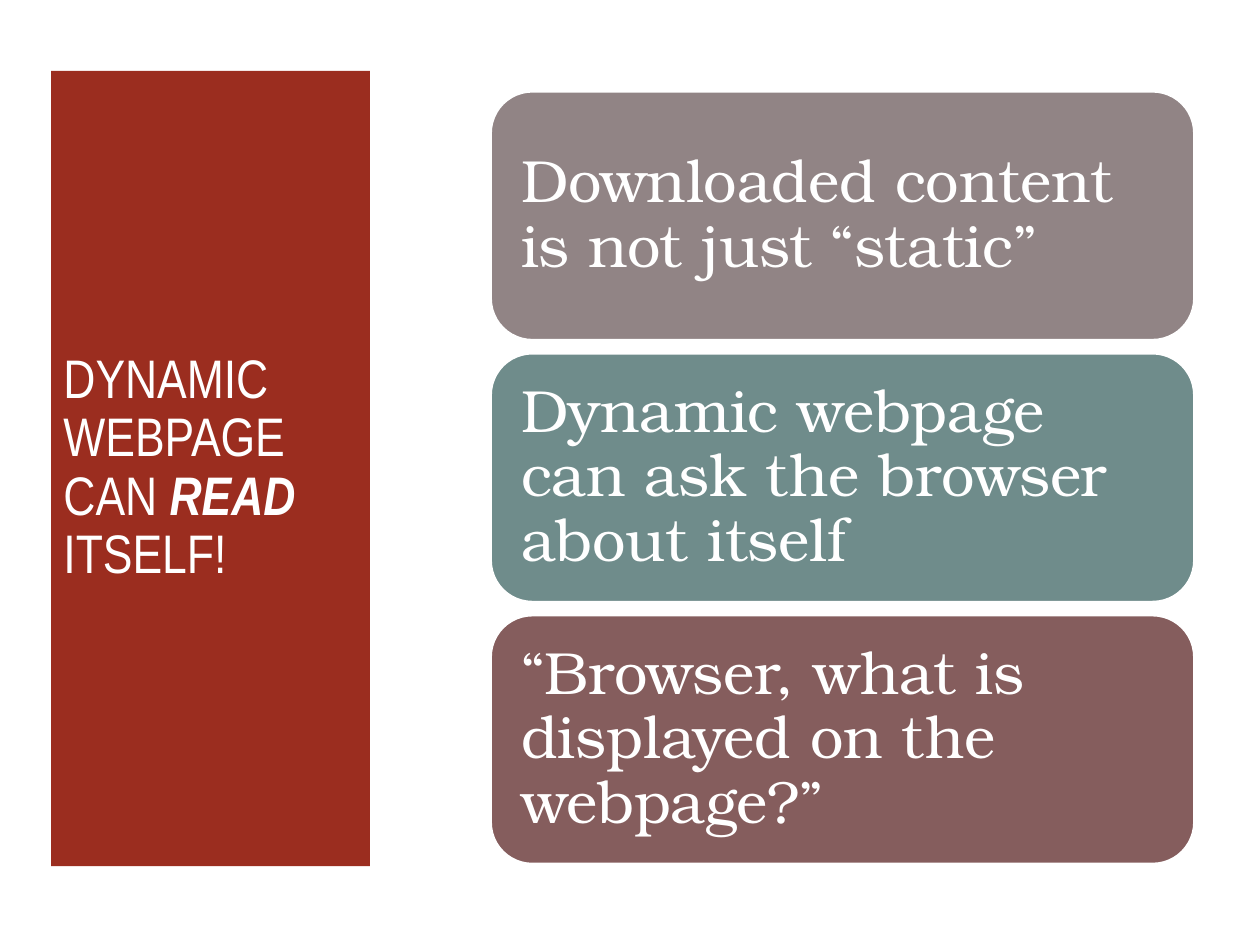
from pptx import Presentation
from pptx.dml.color import RGBColor
from pptx.enum import shapes, text
from pptx.util import Cm, Pt

WHITE = "FFFFFF"
CARD_HEIGHT, CARD_PITCH = 5.0, 5.28
CARDS = [
    ("Downloaded content is not just “static”", "918485"),
    ("Dynamic webpage can ask the browser about itself", "6F8C8B"),
    ("“Browser, what is displayed on the webpage?”", "855D5D"),
]


def color(hex_string):
    return RGBColor.from_string(hex_string)


def add_block(slide, preset, left, top, width, height, fill):
    block = slide.shapes.add_shape(preset, Cm(left), Cm(top), Cm(width), Cm(height))
    block.shadow.inherit = False
    block.fill.solid()
    block.fill.fore_color.rgb = color(fill)
    block.line.fill.background()
    return block


def write(block, runs, font_name, size):
    """Fill a block with one left-aligned paragraph of (words, emphasised) runs."""
    frame = block.text_frame
    frame.word_wrap = True
    frame.vertical_anchor = text.MSO_ANCHOR.MIDDLE
    paragraph = frame.paragraphs[0]
    paragraph.alignment = text.PP_ALIGN.LEFT
    paragraph.line_spacing = 0.9
    paragraph.font.name = font_name
    paragraph.font.size = Pt(size)
    paragraph.font.color.rgb = color(WHITE)
    for words, emphasised in runs:
        run = paragraph.add_run()
        run.text = words
        if emphasised:
            run.font.bold = run.font.italic = True


def add_title_panel(slide):
    panel = add_block(slide, shapes.MSO_SHAPE.RECTANGLE, 1.03, 1.43, 6.43, 16.03, "9B2D1F")
    runs = [("DYNAMIC WEBPAGE CAN ", False), ("READ", True), (" ITSELF!", False)]
    write(panel, runs, "Arial Narrow", 31)


def add_card(slide, top, message, fill):
    card = add_block(slide, shapes.MSO_SHAPE.ROUNDED_RECTANGLE,
                     9.9, top, 14.17, CARD_HEIGHT, fill)
    card.line.color.rgb = color(WHITE)
    card.line.width = Pt(1)
    frame = card.text_frame
    frame.margin_left = frame.margin_right = Cm(0.36)
    frame.margin_top = frame.margin_bottom = Cm(0.36)
    write(card, [(message, False)], "TeX Gyre Bonum", 34)


def main():
    deck = Presentation()
    deck.slide_width, deck.slide_height = Cm(25.4), Cm(19.05)
    slide = deck.slides.add_slide(deck.slide_layouts[6])

    # Title on the left
    add_title_panel(slide)

    # Stack of message cards on the right
    for row, (message, fill) in enumerate(CARDS):
        add_card(slide, 1.85 + row * CARD_PITCH, message, fill)

    deck.save("out.pptx")


if __name__ == "__main__":
    main()
